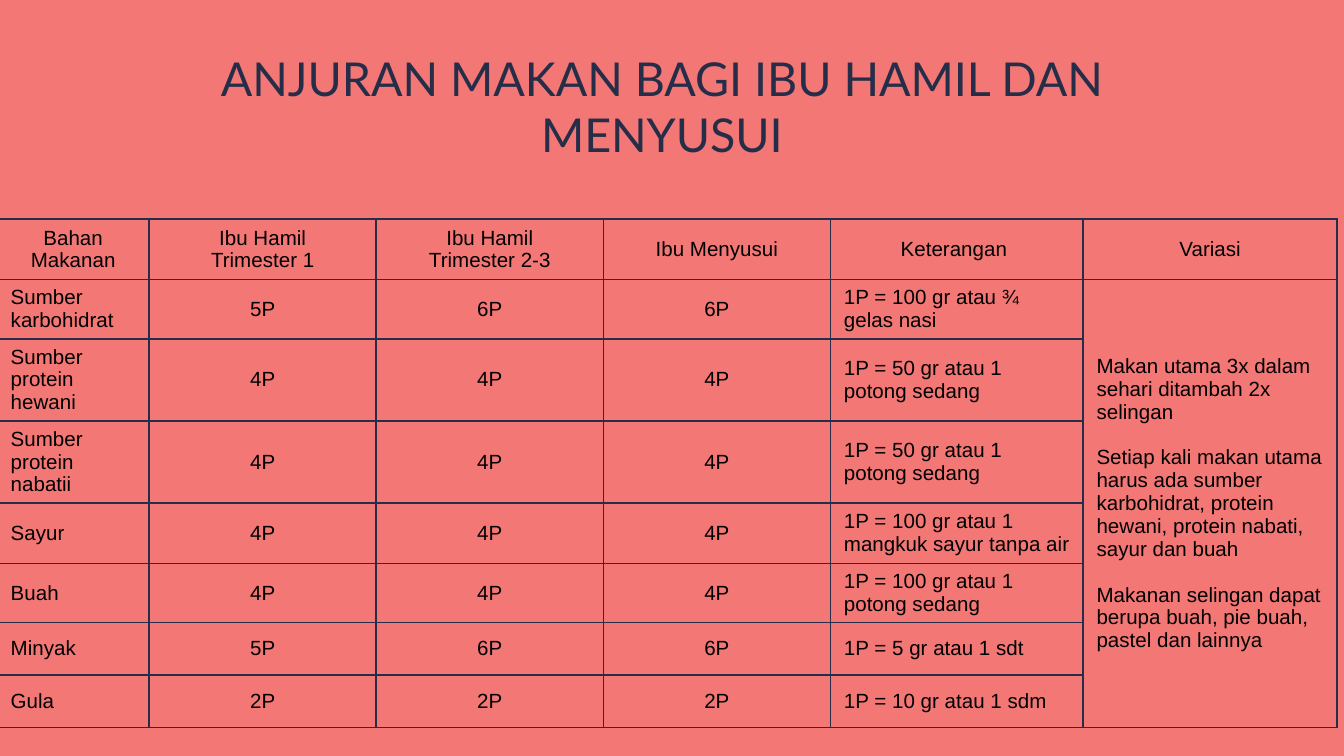
from lxml.etree import SubElement
from pptx import Presentation
from pptx.dml.color import RGBColor
from pptx.enum.text import MSO_ANCHOR, PP_ALIGN
from pptx.oxml.ns import qn
from pptx.util import Inches, Pt

COLORS = {"background": "F27775", "navy": "252D48", "text": "000000"}
TITLE_FONT = {"name": "Lato", "size": Pt(25), "bold": False}
CELL_FONT = {"name": "Arial", "size": Pt(11), "bold": False}
COL_WIDTHS = [1.13, 1.69, 1.69, 1.69, 1.88, 1.89]
ROW_HEIGHTS = [0.45, 0.39, 0.45, 0.45, 0.45, 0.39, 0.39, 0.39]
CENTERED_COLS = (1, 2, 3)
VARIATION_COL = 5

HEADERS = ["Bahan Makanan", "Ibu Hamil\nTrimester 1", "Ibu Hamil\nTrimester 2-3",
           "Ibu Menyusui", "Keterangan ", "Variasi"]
FOODS = [
    ["Sumber karbohidrat", "5P", "6P", "6P", "1P = 100 gr atau ¾ gelas nasi"],
    ["Sumber protein hewani", "4P", "4P", "4P", "1P = 50 gr atau 1 potong sedang"],
    ["Sumber protein nabatii", "4P", "4P", "4P", "1P = 50 gr atau 1 potong sedang"],
    ["Sayur", "4P", "4P", "4P", "1P = 100 gr atau 1 mangkuk sayur tanpa air"],
    ["Buah", "4P", "4P", "4P", "1P = 100 gr atau 1 potong sedang"],
    ["Minyak", "5P", "6P", "6P", "1P = 5 gr atau 1 sdt"],
    ["Gula", "2P", "2P", "2P", "1P = 10 gr atau 1 sdm"],
]
VARIATIONS = [
    "Makan utama 3x dalam sehari ditambah 2x selingan",
    "Setiap kali makan utama harus ada sumber karbohidrat, protein hewani, "
    "protein nabati, sayur dan buah",
    "Makanan selingan dapat berupa buah, pie buah, pastel dan lainnya",
]


def rgb(name):
    return RGBColor.from_string(COLORS[name])


def format_font(font, values, color):
    for name, value in values.items():
        setattr(font, name, value)
    font.color.rgb = rgb(color)


def set_borders(cell):
    tc_pr = cell._tc.get_or_add_tcPr()
    for i, side in enumerate(("lnL", "lnR", "lnT", "lnB")):
        ln = tc_pr.makeelement(qn(f"a:{side}"), {"w": str(Pt(1))})
        fill = SubElement(ln, qn("a:solidFill"))
        SubElement(fill, qn("a:srgbClr"), val=COLORS["navy"])
        tc_pr.insert(i, ln)


def write_cell(cell, text, align):
    cell.text = text
    cell.vertical_anchor = MSO_ANCHOR.MIDDLE
    for p in cell.text_frame.paragraphs:
        p.alignment = align
        for r in p.runs:
            format_font(r.font, CELL_FONT, "text")


def add_title(s, text):
    title = s.shapes.title
    box = {"left": 0.91, "top": 0.44, "width": 8.03, "height": 0.69}
    for name, value in box.items():
        setattr(title, name, Inches(value))
    tf = title.text_frame
    tf.word_wrap = True
    tf.vertical_anchor = MSO_ANCHOR.MIDDLE
    for side in ("left", "right", "top", "bottom"):
        setattr(tf, f"margin_{side}", Inches(0.1))
    tf.text = text
    p = tf.paragraphs[0]
    p.alignment = PP_ALIGN.CENTER
    format_font(p.runs[0].font, TITLE_FONT, "navy")


def add_food_table(s):
    rows = [HEADERS] + FOODS
    table = s.shapes.add_table(
        len(rows), len(HEADERS), Inches(-0.02), Inches(1.63),
        Inches(sum(COL_WIDTHS)), Inches(sum(ROW_HEIGHTS))).table
    table.first_row = table.horz_banding = False
    for col, width in zip(table.columns, COL_WIDTHS):
        col.width = Inches(width)
    for row, height in zip(table.rows, ROW_HEIGHTS):
        row.height = Inches(height)

    for cell in table.iter_cells():
        cell.fill.background()
        set_borders(cell)
    for i, row in enumerate(rows):
        for j, text in enumerate(row):
            centered = i == 0 or j in CENTERED_COLS
            write_cell(table.cell(i, j), text,
                       PP_ALIGN.CENTER if centered else PP_ALIGN.LEFT)

    variation = table.cell(1, VARIATION_COL)
    variation.merge(table.cell(len(FOODS), VARIATION_COL))
    write_cell(variation, "\n".join(VARIATIONS), PP_ALIGN.LEFT)
    for p in variation.text_frame.paragraphs[1:]:
        p.space_before = Pt(12.3)


def main():
    prs = Presentation()
    prs.slide_width, prs.slide_height = Inches(10), Inches(10 * 9 / 16)
    s = prs.slides.add_slide(prs.slide_layouts[5])
    s.background.fill.solid()
    s.background.fill.fore_color.rgb = rgb("background")
    add_food_table(s)
    add_title(s, "ANJURAN MAKAN BAGI IBU HAMIL DAN MENYUSUI")
    prs.save("out.pptx")


if __name__ == "__main__":
    main()
